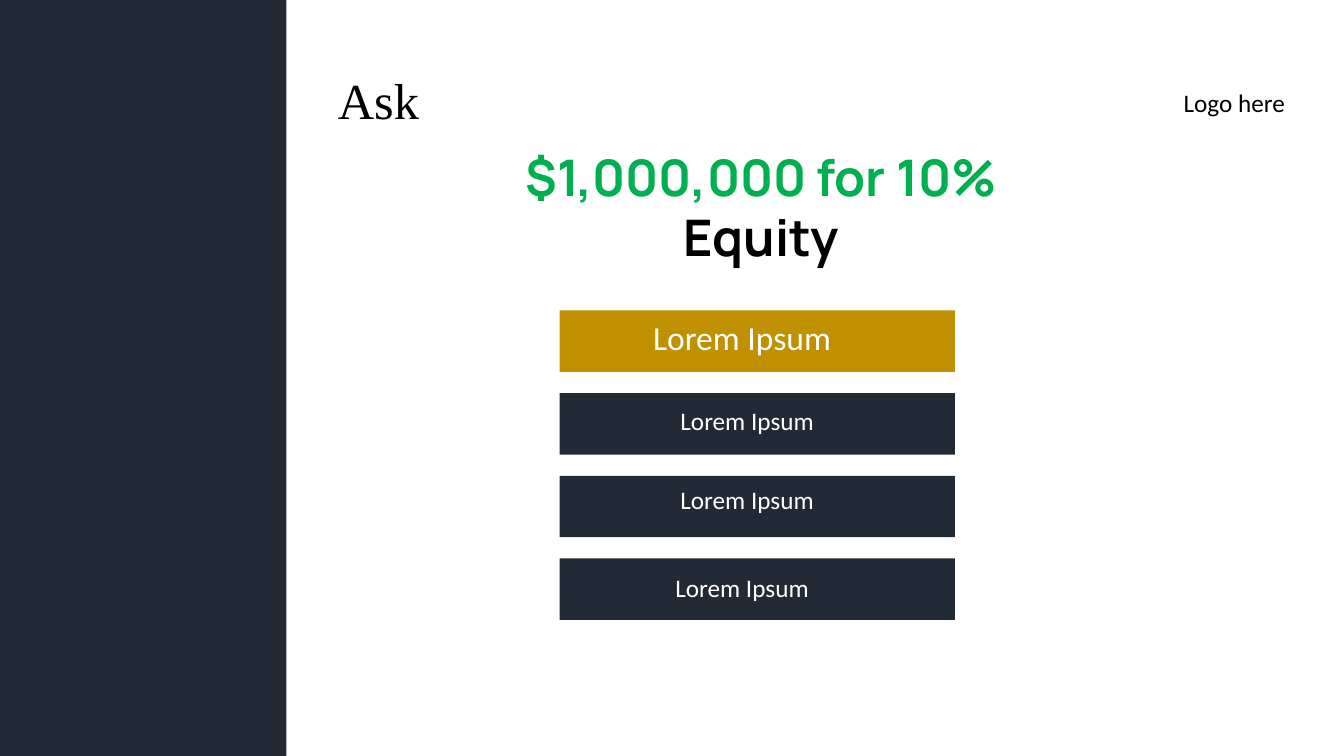
import dataclasses

import pptx
import pptx.dml.color
import pptx.enum.shapes
import pptx.enum.text
import pptx.util

EMU_PER_PX = 9144  # 100 px to the inch
COLORS = {
    "navy": "222A35",
    "gold": "BF9000",
    "green": "00B050",
    "black": "000000",
    "white": "FFFFFF",
}
BAR_LEFT, BAR_TOP, BAR_WIDTH, BAR_HEIGHT, BAR_PITCH = 555, 308, 392, 61, 82


@dataclasses.dataclass(frozen=True)
class Box:
    left: int
    top: int
    width: int
    height: int

    def emu(self) -> list[int]:
        return [px * EMU_PER_PX for px in dataclasses.astuple(self)]


@dataclasses.dataclass(frozen=True)
class Label:
    box: Box
    text: str
    size: int = 18
    color: str = "white"
    wrap: bool = True


BAR_COLORS = ["gold", "navy", "navy", "navy"]
LABELS = [
    Label(Box(638, 309, 324, 50), "Lorem Ipsum", size=24),
    Label(Box(665, 397, 342, 40), "Lorem Ipsum"),
    Label(Box(665, 476, 346, 40), "Lorem Ipsum"),
    Label(Box(660, 563, 347, 40), "Lorem Ipsum"),
    Label(Box(1164, 82, 122, 40), "Logo here", color="black", wrap=False),
]


def rgb(color: str) -> pptx.dml.color.RGBColor:
    return pptx.dml.color.RGBColor.from_string(COLORS[color])


def style_font(font, name: str, size: int, color: str) -> None:
    font.name = name
    font.size = pptx.util.Pt(size)
    font.color.rgb = rgb(color)


def add_block(slide, box: Box, color: str) -> None:
    block = slide.shapes.add_shape(
        pptx.enum.shapes.MSO_SHAPE.RECTANGLE, *box.emu()
    )
    block.shadow.inherit = False
    block.fill.solid()
    block.fill.fore_color.rgb = rgb(color)
    block.line.fill.background()


def add_label(slide, label: Label) -> None:
    frame = slide.shapes.add_textbox(*label.box.emu()).text_frame
    frame.word_wrap = label.wrap
    paragraph = frame.paragraphs[0]
    paragraph.text = label.text
    style_font(paragraph.font, "Calibri", label.size, label.color)


def set_title(slide) -> None:
    title = slide.shapes.title
    title.left, title.top, title.width, title.height = Box(325, 65, 128, 75).emu()
    frame = title.text_frame
    frame.vertical_anchor = pptx.enum.text.MSO_ANCHOR.MIDDLE
    frame.auto_size = pptx.enum.text.MSO_AUTO_SIZE.NONE
    paragraph = frame.paragraphs[0]
    paragraph.text = "Ask"
    paragraph.alignment = pptx.enum.text.PP_ALIGN.LEFT
    paragraph.line_spacing = 0.9
    style_font(paragraph.font, "Times New Roman", 36, "black")


def add_offer(slide) -> None:
    frame = slide.shapes.add_textbox(*Box(503, 140, 504, 131).emu()).text_frame
    frame.word_wrap = True
    paragraph = frame.paragraphs[0]
    paragraph.alignment = pptx.enum.text.PP_ALIGN.CENTER
    for text, color in [("$1,000,000 for 10% ", "green"), ("Equity", "black")]:
        run = paragraph.add_run()
        run.text = text
        run.font.bold = True
        style_font(run.font, "Manrope", 36, color)


def main() -> None:
    deck = pptx.Presentation()
    deck.slide_width = 1333 * EMU_PER_PX
    deck.slide_height = 750 * EMU_PER_PX
    slide = deck.slides.add_slide(deck.slide_layouts.get_by_name("Title Only"))

    add_block(slide, Box(0, 0, 284, 750), "navy")
    set_title(slide)
    add_offer(slide)
    for row, color in enumerate(BAR_COLORS):
        top = BAR_TOP + row * BAR_PITCH
        add_block(slide, Box(BAR_LEFT, top, BAR_WIDTH, BAR_HEIGHT), color)
    for label in LABELS:
        add_label(slide, label)

    deck.save("out.pptx")


if __name__ == "__main__":
    main()
